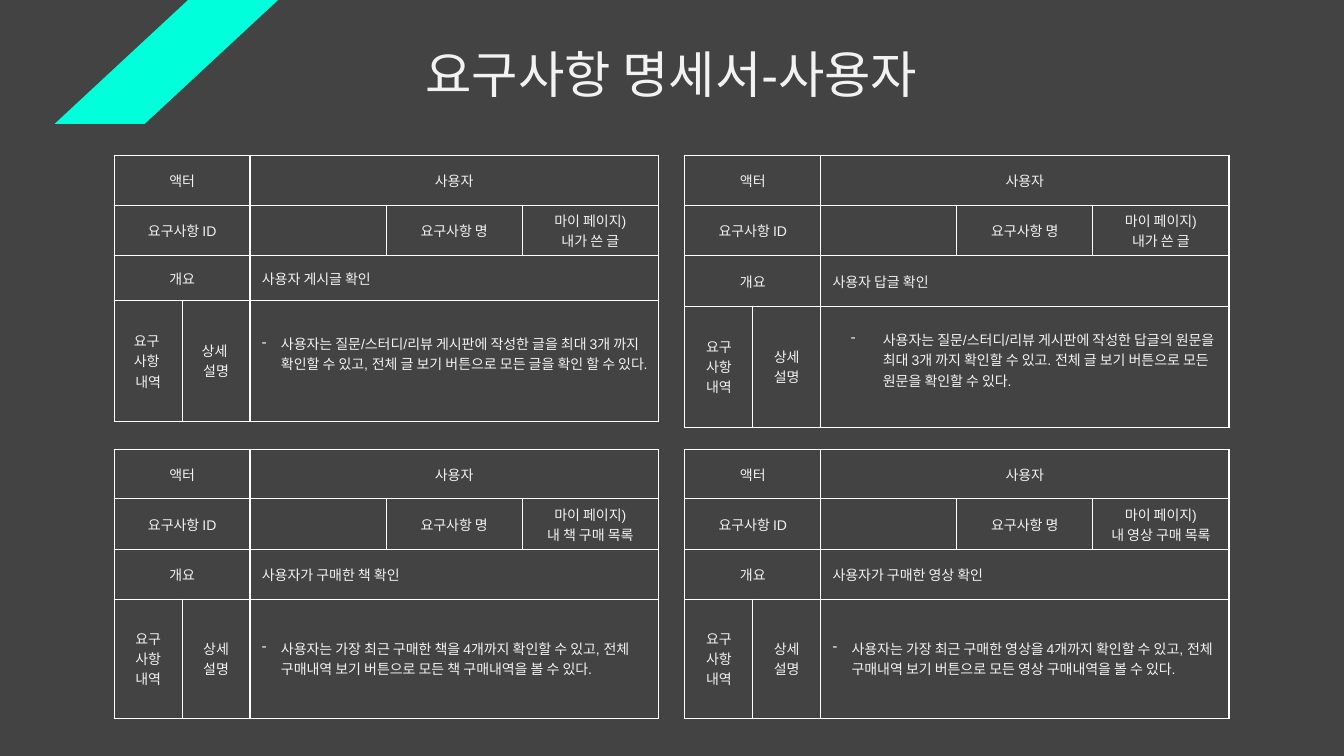
from dataclasses import dataclass
from typing import Any

from lxml import etree
from pptx import Presentation
from pptx.dml.color import RGBColor
from pptx.enum.text import MSO_ANCHOR, PP_ALIGN
from pptx.oxml.ns import qn
from pptx.util import Cm, Pt

CENTER, LEFT = PP_ALIGN.CENTER, PP_ALIGN.LEFT
MIDDLE = MSO_ANCHOR.MIDDLE

COLORS = {"background": "434343", "text": "F2F2F2", "accent": "00FFDB", "border": "FFFFFF"}
CELL_FORMAT = {
    "vertical_anchor": MIDDLE,
    "margin_left": Cm(0.3), "margin_right": Cm(0.3),
    "margin_top": Cm(0.13), "margin_bottom": Cm(0.13),
}
TABLE_FORMAT = {"first_row": False, "horz_banding": False}
TITLE_FORMAT = {"left": Cm(2.92), "top": Cm(0.94), "width": Cm(28), "height": Cm(1.8)}
TITLE_FRAME_FORMAT = {"vertical_anchor": MIDDLE, "word_wrap": True}

COLUMN_WIDTHS = (1.71, 1.71, 3.43, 3.43, 3.43)
GRID_LEFTS = (2.88, 17.26)
GRID_TOPS = (3.91, 11.33)
# Row, first column, last column
MERGES = ((0, 0, 1), (0, 2, 4), (1, 0, 1), (2, 0, 1), (2, 2, 4), (3, 2, 4))


@dataclass(frozen=True)
class Requirement:
    name: str
    summary: str
    detail: str
    row_heights: tuple[float, ...]
    history_label: str = "요구\n사항\n내역"
    detail_label: str = "상세\n설명"
    indent: float = 0.48
    hanging: float = 0.48
    detail_bottom: float = 0.13


REQUIREMENTS = (
    Requirement(
        "내가 쓴 글", "사용자 게시글 확인",
        "사용자는 질문/스터디/리뷰 게시판에 작성한 글을 최대 3개 까지 확인할 수 있고, "
        "전체 글 보기 버튼으로 모든 글을 확인 할 수 있다.",
        (1.26, 1.27, 1.12, 3.05), "요구 \n사항 \n내역", "상세 \n설명", detail_bottom=0.48),
    Requirement(
        "내가 쓴 글", "사용자 답글 확인",
        "사용자는 질문/스터디/리뷰 게시판에 작성한 답글의 원문을 최대 3개 까지 확인할 수 있고. "
        "전체 글 보기 버튼으로 모든 원문을 확인할 수 있다.",
        (1.26, 1.13, 1.27, 3.05), indent=1.27, hanging=0.81, detail_bottom=0.48),
    Requirement(
        "내 책 구매 목록", "사용자가 구매한 책 확인",
        "사용자는 가장 최근 구매한 책을 4개까지 확인할 수 있고, "
        "전체 구매내역 보기 버튼으로 모든 책 구매내역을 볼 수 있다.",
        (1.24, 1.13, 1.25, 3.0)),
    Requirement(
        "내 영상 구매 목록", "사용자가 구매한 영상 확인",
        "사용자는 가장 최근 구매한 영상을 4개까지 확인할 수 있고, "
        "전체 구매내역 보기 버튼으로 모든 영상 구매내역을 볼 수 있다.",
        (1.24, 1.13, 1.25, 3.0)),
)


def color(key: str) -> RGBColor:
    return RGBColor.from_string(COLORS[key])


def apply_format(target: Any, values: dict[str, Any]) -> None:
    for attribute, value in values.items():
        setattr(target, attribute, value)


def write_text(frame: Any, text: str, size: float, align: Any) -> None:
    frame.text = text
    for paragraph in frame.paragraphs:
        paragraph.alignment = align
        for run in paragraph.runs:
            apply_format(run.font, {"name": "Arial", "size": Pt(size)})
            run.font.color.rgb = color("text")


def add_color(parent: Any, tag: str, key: str) -> None:
    holder = etree.SubElement(parent, qn(tag))
    etree.SubElement(holder, qn("a:srgbClr"), val=COLORS[key])


def add_borders(cell: Any) -> None:
    properties = cell._tc.get_or_add_tcPr()
    for side in ("a:lnL", "a:lnR", "a:lnT", "a:lnB"):
        line = etree.SubElement(properties, qn(side), w=str(Pt(1)))
        add_color(line, "a:solidFill", "border")


def add_dash(paragraph: Any, indent: float, hanging: float) -> None:
    properties = paragraph._p.get_or_add_pPr()
    properties.set("marL", str(Cm(indent)))
    properties.set("indent", str(-Cm(hanging)))
    add_color(properties, "a:buClr", "text")
    etree.SubElement(properties, qn("a:buChar"), char="-")


def add_requirement(slide: Any, requirement: Requirement, left: float, top: float) -> None:
    heights = requirement.row_heights
    table = slide.shapes.add_table(
        len(heights), len(COLUMN_WIDTHS), Cm(left), Cm(top),
        Cm(sum(COLUMN_WIDTHS)), Cm(sum(heights))).table
    apply_format(table, TABLE_FORMAT)
    for column, width in zip(table.columns, COLUMN_WIDTHS):
        column.width = Cm(width)
    for row, height in zip(table.rows, heights):
        row.height = Cm(height)
    for cell in table.iter_cells():
        apply_format(cell, CELL_FORMAT)
        add_borders(cell)
        cell.fill.solid()
        cell.fill.fore_color.rgb = color("background")
    for row, first, last in MERGES:
        table.cell(row, first).merge(table.cell(row, last))

    texts = {
        (0, 0): "액터", (0, 2): "사용자",
        (1, 0): "요구사항 ID", (1, 3): "요구사항 명",
        (1, 4): f"마이 페이지)\n{requirement.name}",
        (2, 0): "개요", (2, 2): requirement.summary,
        (3, 0): requirement.history_label, (3, 1): requirement.detail_label,
        (3, 2): requirement.detail,
    }
    for (row, column), text in texts.items():
        align = LEFT if row >= 2 and column == 2 else CENTER
        write_text(table.cell(row, column).text_frame, text, 10, align)
    detail = table.cell(3, 2)
    detail.margin_bottom = Cm(requirement.detail_bottom)
    add_dash(detail.text_frame.paragraphs[0], requirement.indent, requirement.hanging)


def add_corner_stripe(slide: Any) -> None:
    corners = [(Cm(x), Cm(y)) for x, y in ((7.01, 0), (4.74, 0), (1.38, 3.12), (3.65, 3.12))]
    builder = slide.shapes.build_freeform(*corners[0])
    builder.add_line_segments(corners[1:], close=True)
    stripe = builder.convert_to_shape()
    stripe.shadow.inherit = False
    stripe.fill.solid()
    stripe.fill.fore_color.rgb = color("accent")
    stripe.line.fill.background()


def main() -> None:
    deck = Presentation()
    apply_format(deck, {"slide_width": Cm(33.87), "slide_height": Cm(19.05)})
    slide = deck.slides.add_slide(deck.slide_layouts[5])
    slide.background.fill.solid()
    slide.background.fill.fore_color.rgb = color("background")

    # Heading and corner decoration
    heading = slide.shapes.title
    apply_format(heading, TITLE_FORMAT)
    apply_format(heading.text_frame, TITLE_FRAME_FORMAT)
    write_text(heading.text_frame, "요구사항 명세서-사용자", 36, CENTER)
    add_corner_stripe(slide)

    # Two by two grid of requirement tables
    for index, requirement in enumerate(REQUIREMENTS):
        row, column = divmod(index, len(GRID_LEFTS))
        add_requirement(slide, requirement, GRID_LEFTS[column], GRID_TOPS[row])

    deck.save("out.pptx")


if __name__ == "__main__":
    main()
